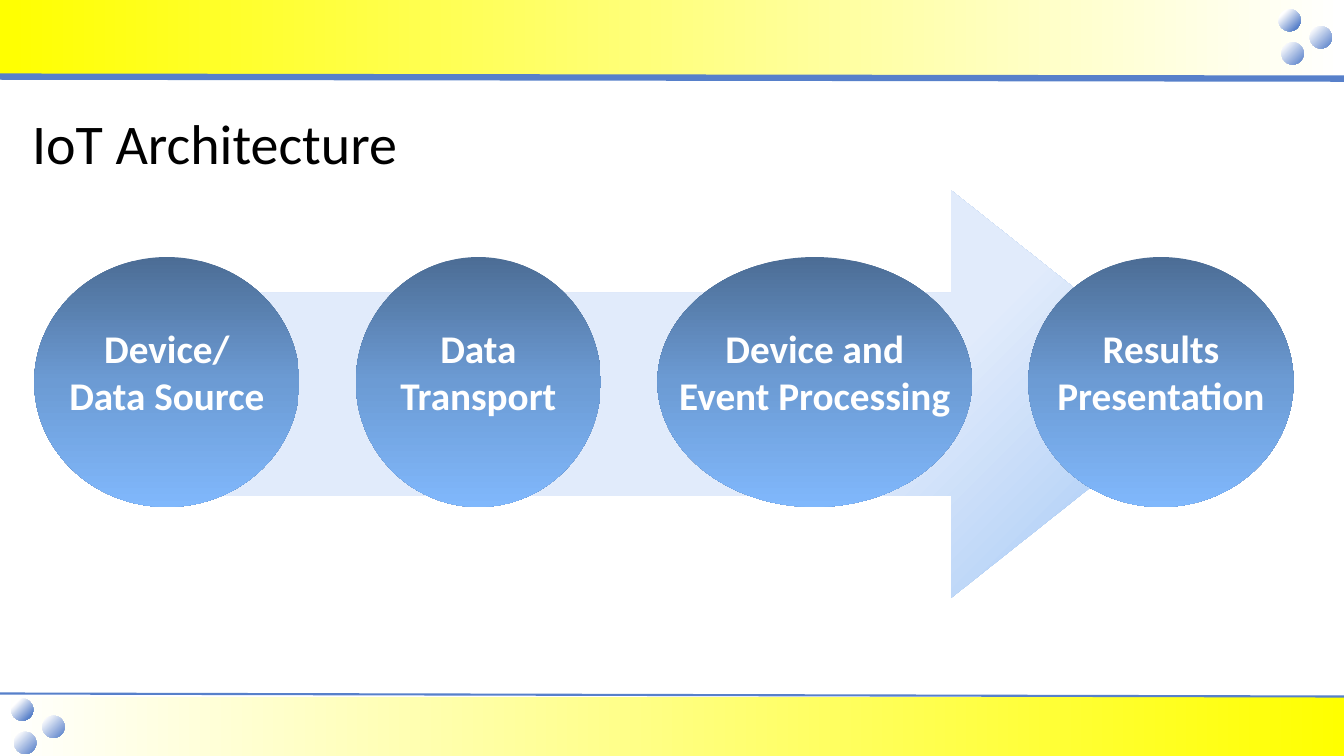
"""Builds the IoT Architecture slide: four stages along an arrow."""
from lxml import etree
from pptx import Presentation, util as u
from pptx.dml.color import RGBColor
from pptx.enum import shapes, text
from pptx.oxml import ns, parse_xml

COLORS = {
    "white": "FFFFFF", "black": "000000", "yellow": "FFFF00", "blue": "5780CA",
    "arrow": "9AC3F5", "arrow_pale": "E1EBFB",
    "stage_top": "4C6D95", "stage_mid": "6C9BD4", "stage_end": "80B8FC",
}
BAR = [(0, "white"), (100, "yellow")]
DOT = [(15, "blue"), (78, "white")]
ARROW = [(0, "arrow"), (34, "arrow_pale")]
STAGE = [(0, "stage_top"), (50, "stage_mid"), (100, "stage_end")]


def add_gradient_shape(kind, box, stops, angle=None, rotation=0):
    sp = s.shapes.add_shape(kind, *map(u.Inches, box))
    sp.rotation = rotation
    sp.shadow.inherit = False
    sp.line.fill.background()
    sp.fill.background()
    stop_xml = "".join(
        f'<a:gs pos="{pos * 1000}"><a:srgbClr val="{COLORS[name]}"/></a:gs>'
        for pos, name in stops)
    if angle is None:
        shade = '<a:path path="circle"><a:fillToRect l="100000" t="100000"/></a:path>'
    else:
        shade = f'<a:lin ang="{angle * 60000}" scaled="0"/>'
    spPr = sp._element.spPr
    spPr.replace(spPr.find(ns.qn("a:noFill")), parse_xml(
        f'<a:gradFill {ns.nsdecls("a")} rotWithShape="1">'
        f'<a:gsLst>{stop_xml}</a:gsLst>{shade}</a:gradFill>'))
    return sp


def write_text(tf, lines, size, color, bold=False, align=text.PP_ALIGN.LEFT, top=0.05):
    tf.word_wrap = False
    tf.vertical_anchor = text.MSO_ANCHOR.TOP
    tf.margin_top = u.Inches(top)
    for i, line in enumerate(lines):
        p = tf.add_paragraph() if i else tf.paragraphs[0]
        p.alignment = align
        r = p.add_run()
        r.text = line
        r.font.name = "Calibri"
        r.font.size = u.Pt(size)
        r.font.bold = bold
        r.font.color.rgb = RGBColor.from_string(COLORS[color])


prs = Presentation()
prs.slide_width, prs.slide_height = u.Inches(13.33), u.Inches(7.5)
s = prs.slides.add_slide(prs.slide_layouts[6])
SHAPE = shapes.MSO_SHAPE

for top, height, rotation in [(0, 0.76, 0), (6.91, 0.6, 180)]:
    add_gradient_shape(SHAPE.RECTANGLE, (0, top, 13.33, height), BAR, 180, rotation)

for start, end, width in [(0.76, 0.78, 4.5), (6.88, 6.91, 1.5)]:
    rule = s.shapes.add_connector(
        shapes.MSO_CONNECTOR.STRAIGHT, 0, u.Inches(start), u.Inches(13.33), u.Inches(end))
    rule.line.color.rgb = RGBColor.from_string(COLORS["blue"])
    rule.line.width = u.Pt(width)
    etree.SubElement(rule._element.spPr, ns.qn("a:effectLst"))

for left, top in [(0.11, 6.93), (12.68, 0.09)]:
    for i, (dx, dy) in enumerate([(0, 0), (0.31, 0.17), (0.03, 0.33)]):
        add_gradient_shape(
            SHAPE.OVAL, (left + dx, top + dy, 0.22, 0.22), DOT, rotation=120 * i)

arrow = add_gradient_shape(SHAPE.RIGHT_ARROW, (1.36, 1.89, 10.62, 4.04), ARROW, 225)
arrow.adjustments[0], arrow.adjustments[1] = 0.5, 0.63

left = 0.34
for width, lines in [
    (2.63, ["Device/", "Data Source"]),
    (2.43, ["Data", "Transport"]),
    (3.12, ["Device and", "Event Processing"]),
    (2.63, ["Results", "Presentation"]),
]:
    stage = add_gradient_shape(SHAPE.OVAL, (left, 2.55, width, 2.48), STAGE, 90)
    write_text(stage.text_frame, lines, 28, "white", bold=True,
               align=text.PP_ALIGN.CENTER, top=0.3)
    left += width + 0.56

title = s.shapes.add_textbox(*map(u.Inches, (0.22, 1.03, 3.86, 0.77)))
title.text_frame.auto_size = text.MSO_AUTO_SIZE.SHAPE_TO_FIT_TEXT
write_text(title.text_frame, ["IoT Architecture"], 40, "black")

prs.save("out.pptx")
